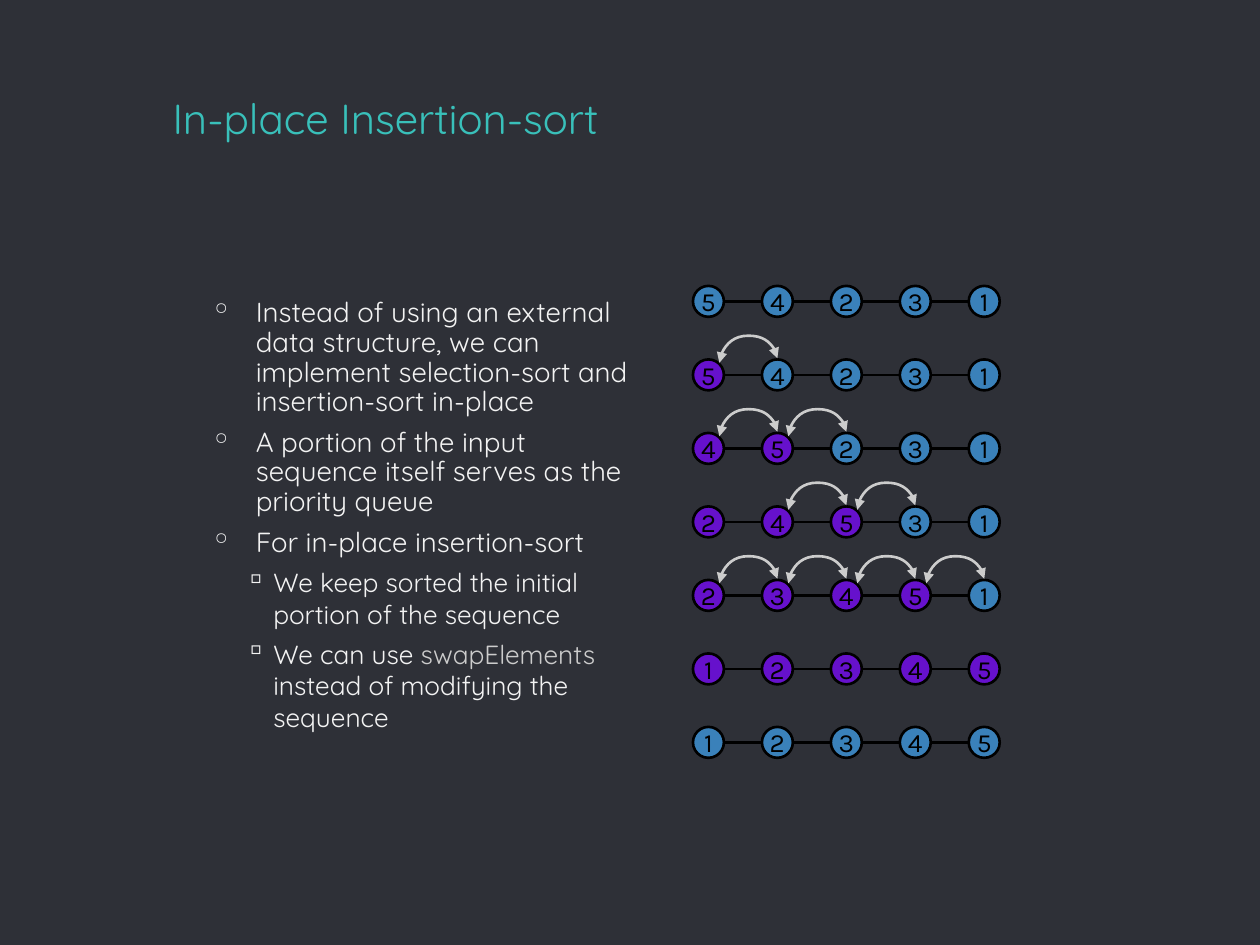
from math import sqrt

from lxml.etree import SubElement
from pptx import Presentation
from pptx.dml.color import RGBColor
from pptx.enum.shapes import MSO_CONNECTOR, MSO_SHAPE
from pptx.enum.text import MSO_ANCHOR, MSO_AUTO_SIZE, PP_ALIGN
from pptx.oxml.ns import qn
from pptx.util import Pt

BACKGROUND = RGBColor(0x2E, 0x30, 0x37)
TEAL = RGBColor(0x39, 0xC0, 0xBA)
OFF_WHITE = RGBColor(0xF3, 0xF3, 0xF3)
GRAY = RGBColor(0xCC, 0xCC, 0xCC)
BLACK = RGBColor(0x00, 0x00, 0x00)
BLUE = RGBColor(0x3A, 0x81, 0xBA)
PURPLE = RGBColor(0x66, 0x11, 0xCC)

TEXT_FONT = "Quicksand"
NODE_FONT = "Karla"

NODE_SIZE = 17.7
FIRST_LEFT, FIRST_TOP = 396, 163.4
COLUMN_STEP, ROW_STEP = 39.4, 42
LINE_WIDTH = 1.5
ARC_RISE = 13

# Values, length of the sorted portion, left positions of the swapped pairs
STEPS = [
    ("54231", 0, []),
    ("54231", 1, [0]),
    ("45231", 2, [0, 1]),
    ("24531", 3, [1, 2]),
    ("23451", 4, [0, 1, 2, 3]),
    ("12345", 5, []),
    ("12345", 0, []),
]

# Level and runs with their colours
BULLETS = [
    (0, [("Instead of using an external data structure, we can implement "
          "selection-sort and insertion-sort in-place", OFF_WHITE)]),
    (0, [("A portion of the input sequence itself serves as the priority queue",
          OFF_WHITE)]),
    (0, [("For in-place insertion-sort", OFF_WHITE)]),
    (1, [("We keep sorted the initial portion of the sequence", OFF_WHITE)]),
    (1, [("We can use ", OFF_WHITE), ("swapElements", GRAY),
         (" instead of modifying the sequence", OFF_WHITE)]),
]
# Character, left margin, hanging indent, font size, space before, line spacing
LEVELS = [
    ("◦", 34, 26, 15.8, 6, 0.9),
    ("▫", 44, 16.5, 15, 4.8, 1.0),
]


def format_font(font, name, size, color):
    font.name = name
    font.size = Pt(size)
    font.color.rgb = color


def set_margins(text_frame, margin):
    text_frame.margin_left = text_frame.margin_right = Pt(margin)
    text_frame.margin_top = text_frame.margin_bottom = Pt(margin)


def add_title(slide):
    title = slide.shapes.title
    title.left, title.top, title.width, title.height = (
        Pt(91.4), Pt(52.6), Pt(540), Pt(36))
    title.fill.solid()
    title.fill.fore_color.rgb = BACKGROUND
    text_frame = title.text_frame
    text_frame.text = "In-place Insertion-sort"
    text_frame.auto_size = MSO_AUTO_SIZE.NONE
    text_frame.vertical_anchor = MSO_ANCHOR.BOTTOM
    set_margins(text_frame, 7.2)
    paragraph = text_frame.paragraphs[0]
    paragraph.alignment = PP_ALIGN.LEFT
    format_font(paragraph.runs[0].font, TEXT_FONT, 24, TEAL)


def set_bullet(paragraph, character, margin, hanging):
    properties = paragraph._p.get_or_add_pPr()
    properties.set("marL", str(Pt(margin)))
    properties.set("indent", str(-Pt(hanging)))
    color = SubElement(properties, qn("a:buClr"))
    SubElement(color, qn("a:srgbClr")).set("val", str(OFF_WHITE))
    SubElement(properties, qn("a:buChar")).set("char", character)


def add_bullets(slide):
    box = slide.shapes.add_textbox(Pt(105.1), Pt(163.4), Pt(273), Pt(309))
    text_frame = box.text_frame
    text_frame.word_wrap = True
    set_margins(text_frame, 7.2)
    for index, (level, runs) in enumerate(BULLETS):
        character, margin, hanging, size, space, spacing = LEVELS[level]
        paragraph = text_frame.add_paragraph() if index else text_frame.paragraphs[0]
        paragraph.level = level
        set_bullet(paragraph, character, margin, hanging)
        paragraph.line_spacing = spacing
        if index:
            paragraph.space_before = Pt(space)
        for text, color in runs:
            run = paragraph.add_run()
            run.text = text
            format_font(run.font, TEXT_FONT, size, color)


def add_line(shapes, kind, start, end, color):
    connector = shapes.add_connector(kind, *map(Pt, start + end))
    connector.line.color.rgb = color
    connector.line.width = Pt(LINE_WIDTH)
    SubElement(connector._element.spPr, qn("a:effectLst"))
    return connector


def add_node(shapes, left, top, value, color):
    node = shapes.add_shape(
        MSO_SHAPE.OVAL, Pt(left), Pt(top), Pt(NODE_SIZE), Pt(NODE_SIZE))
    node.shadow.inherit = False
    node.fill.solid()
    node.fill.fore_color.rgb = color
    node.line.color.rgb = BLACK
    node.line.width = Pt(LINE_WIDTH)
    text_frame = node.text_frame
    text_frame.text = value
    text_frame.word_wrap = False
    text_frame.vertical_anchor = MSO_ANCHOR.MIDDLE
    set_margins(text_frame, 0)
    paragraph = text_frame.paragraphs[0]
    paragraph.alignment = PP_ALIGN.CENTER
    format_font(paragraph.runs[0].font, NODE_FONT, 15, BLACK)


def add_sequence(slide, top, values, sorted_count):
    shapes = slide.shapes.add_group_shape().shapes
    middle = top + NODE_SIZE / 2
    last_left = FIRST_LEFT + (len(values) - 1) * COLUMN_STEP
    add_line(shapes, MSO_CONNECTOR.STRAIGHT,
             (FIRST_LEFT + NODE_SIZE, middle), (last_left, middle), BLACK)
    for column, value in enumerate(values):
        color = PURPLE if column < sorted_count else BLUE
        add_node(shapes, FIRST_LEFT + column * COLUMN_STEP, top, value, color)


def add_swap_arc(slide, column, top):
    """Join a node's upper right to the next node's top with a curved arrow."""
    radius = NODE_SIZE / 2
    diagonal = radius / sqrt(2)
    center = FIRST_LEFT + column * COLUMN_STEP + radius
    span = COLUMN_STEP - diagonal
    drop = radius - diagonal
    middle_x = center + diagonal + span / 2
    middle_y = top - 0.7 + drop / 2
    # The frame is turned by 270 degrees, so its width is the drop
    arc = add_line(slide.shapes, MSO_CONNECTOR.CURVE,
                   (middle_x + drop / 2, middle_y + span / 2),
                   (middle_x - drop / 2, middle_y - span / 2), GRAY)
    properties = arc._element.spPr
    properties.find(qn("a:xfrm")).set("rot", str(270 * 60000))
    adjustments = properties.find(qn("a:prstGeom")).get_or_add_avLst()
    guide = SubElement(adjustments, qn("a:gd"))
    guide.set("name", "adj1")
    guide.set("fmla", f"val {round(-ARC_RISE / drop * 100000)}")
    line = arc.line._get_or_add_ln()
    for end in ("a:headEnd", "a:tailEnd"):
        SubElement(line, qn(end)).set("type", "triangle")


def main():
    presentation = Presentation()
    presentation.slide_width, presentation.slide_height = Pt(720), Pt(540)
    slide = presentation.slides.add_slide(presentation.slide_layouts[5])
    slide.background.fill.solid()
    slide.background.fill.fore_color.rgb = BACKGROUND
    add_title(slide)
    add_bullets(slide)
    for row, (values, sorted_count, swaps) in enumerate(STEPS):
        top = FIRST_TOP + row * ROW_STEP
        add_sequence(slide, top, values, sorted_count)
        for column in swaps:
            add_swap_arc(slide, column, top)
    presentation.save("out.pptx")


if __name__ == "__main__":
    main()
